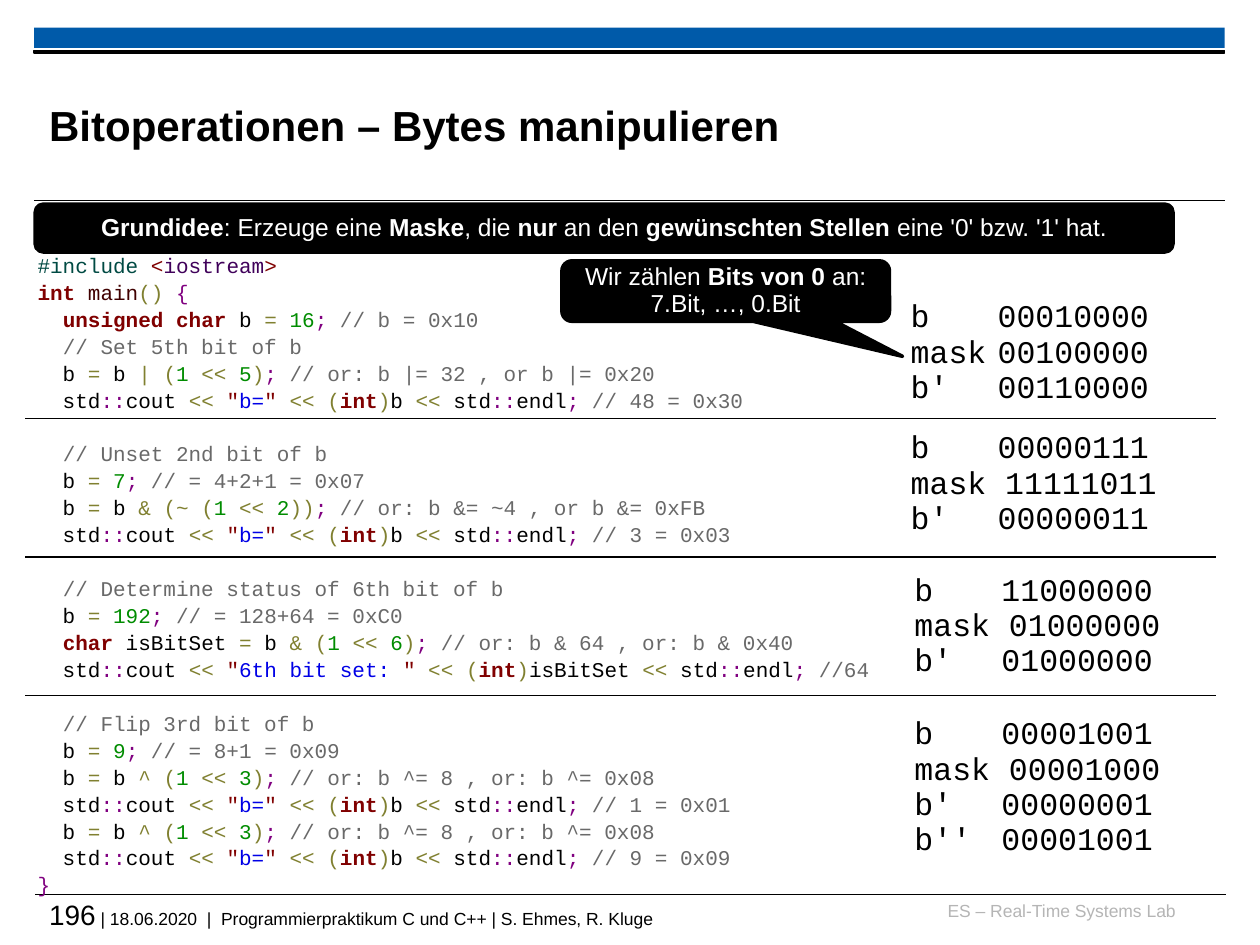
from itertools import groupby

from pptx import Presentation
from pptx.dml.color import RGBColor
from pptx.enum.shapes import MSO_CONNECTOR, MSO_SHAPE
from pptx.enum.text import MSO_ANCHOR, PP_ALIGN
from pptx.oxml.ns import qn
from pptx.util import Inches, Pt
from lxml.etree import SubElement

HUES = {
    "black": "000000", "white": "FFFFFF", "band": "005AA9", "pale": "B5B5B5",
    "teal": "004A43", "red": "800000", "plum": "40015A", "brown": "400000",
    "olive": "808030", "violet": "800080", "green": "008C00",
    "gray": "696969", "blue": "0000E6",
}
WORDS = {"int": "red", "char": "red", "unsigned": "red", "main": "brown"}
HEAD = [("#include ", "teal", False), ("<", "red", False),
        ("iostream", "plum", False), (">", "red", False)]
CODE = [
    """int main() {
  unsigned char b = 16; // b = 0x10
  // Set 5th bit of b
  b = b | (1 << 5); // or: b |= 32 , or b |= 0x20
  std::cout << "b=" << (int)b << std::endl; // 48 = 0x30""",
    """  // Unset 2nd bit of b
  b = 7; // = 4+2+1 = 0x07
  b = b & (~ (1 << 2)); // or: b &= ~4 , or b &= 0xFB
  std::cout << "b=" << (int)b << std::endl; // 3 = 0x03""",
    """  // Determine status of 6th bit of b
  b = 192; // = 128+64 = 0xC0
  char isBitSet = b & (1 << 6); // or: b & 64 , or: b & 0x40
  std::cout << "6th bit set: " << (int)isBitSet << std::endl; //64""",
    """  // Flip 3rd bit of b
  b = 9; // = 8+1 = 0x09
  b = b ^ (1 << 3); // or: b ^= 8 , or: b ^= 0x08
  std::cout << "b=" << (int)b << std::endl; // 1 = 0x01
  b = b ^ (1 << 3); // or: b ^= 8 , or: b ^= 0x08
  std::cout << "b=" << (int)b << std::endl; // 9 = 0x09
}""",
]
BITS = [
    (7.13, 2.33, ["b\t00010000", "mask\t00100000", "b'\t00110000"]),
    (7.13, 3.37, ["b\t00000111", "mask 11111011", "b'\t00000011"]),
    (7.16, 4.5, ["b\t11000000", "mask 01000000", "b'\t01000000"]),
    (7.16, 5.64, ["b\t00001001", "mask 00001000", "b'\t00000001",
                  "b''\t00001001"]),
]
FLUSH = dict.fromkeys(
    ("margin_left", "margin_top", "margin_right", "margin_bottom"), 0)
MID = {"word_wrap": True, "vertical_anchor": MSO_ANCHOR.MIDDLE}


def tint(name):
    """Return the named colour."""
    return RGBColor.from_string(HUES[name])


def style(thing, form):
    """Set each attribute that the format holds."""
    for key, value in form.items():
        setattr(thing, key, value)


def place(box):
    """Turn numbers into inch lengths."""
    return [Inches(n) for n in box]


def sort(char):
    """Name the kind of a code character."""
    if char.isalnum():
        return "word"
    if char == " ":
        return "black"
    return "violet" if char in "{};:" else "olive"


def scan(line):
    """Split a code line into coloured runs."""
    code, mark, note = line.partition("//")
    runs = []
    for i, part in enumerate(code.split('"')):
        if i:
            runs.append(('"', "red", False))
        if i % 2:
            runs.append((part, "blue", False))
            continue
        for kind, group in groupby(part, sort):
            text = "".join(group)
            if kind == "word":
                kind = "green" if text.isdigit() else WORDS.get(text, "black")
            runs.append((text, kind, kind == "red"))
    if mark:
        runs.append((mark + note, "gray", False))
    return runs


def mark(text, hue="black"):
    """Split text at stars, with every second part bold."""
    return [(part, hue, i % 2 == 1)
            for i, part in enumerate(text.split("*")) if part]


def write(frame, lines, size, face="Arial", form=None, tab=None):
    """Write lines of runs into a text frame."""
    for i, line in enumerate(lines):
        para = frame.add_paragraph() if i else frame.paragraphs[0]
        if tab:
            tabs = SubElement(para._p.get_or_add_pPr(), qn("a:tabLst"))
            SubElement(tabs, qn("a:tab"), pos=str(Inches(tab)), algn="l")
        style(para, form or {})
        for text, hue, bold in line:
            run = para.add_run()
            run.text = text
            style(run.font, {"name": face, "size": Pt(size), "bold": bold})
            run.font.color.rgb = tint(hue)


def add_text(slide, box, form):
    """Add a text box and return its frame."""
    frame = slide.shapes.add_textbox(*place(box)).text_frame
    style(frame, {"word_wrap": True, **form})
    return frame


def add_form(slide, kind, box, hue, edge=None):
    """Add a filled preset shape."""
    shape = slide.shapes.add_shape(kind, *place(box))
    shape.shadow.inherit = False
    shape.fill.solid()
    shape.fill.fore_color.rgb = tint(hue)
    if edge:
        shape.line.color.rgb = tint(hue)
        shape.line.width = Pt(edge)
    else:
        shape.line.fill.background()
    return shape


def add_note(slide, kind, box, lines):
    """Add a black box with white centred text."""
    shape = add_form(slide, kind, box, "black", 2)
    style(shape.text_frame, MID)
    write(shape.text_frame, [mark(line, "white") for line in lines], 14,
          form={"alignment": PP_ALIGN.CENTER, "line_spacing": 0.93})
    return shape


def add_rule(slide, left, top, width):
    """Add a thin level line."""
    rule = slide.shapes.add_connector(
        MSO_CONNECTOR.STRAIGHT, *place((left, top, left + 9.45, top)))
    rule.line.color.rgb = tint("black")
    rule.line.width = Pt(width)
    SubElement(rule._element.spPr, qn("a:effectLst"))


def add_frame(slide):
    """Add the bars, rules, footer and title."""
    add_rule(slide, 0.28, 7.1, 0.6)
    add_form(slide, MSO_SHAPE.RECTANGLE, (0.27, 0.22, 9.45, 0.16), "band")
    add_rule(slide, 0.27, 1.59, 0.6)
    add_form(slide, MSO_SHAPE.RECTANGLE, (0.27, 0.4, 9.45, 0.02), "black", 0.75)
    lab = add_text(slide, (7.36, 7.14, 1.97, 0.25), FLUSH)
    write(lab, [mark("ES – Real-Time Systems Lab", "pale")], 10,
          form={"alignment": PP_ALIGN.RIGHT})
    foot = add_text(slide, (0.39, 7.12, 9.33, 0.33), FLUSH)
    write(foot, [mark("196 | 18.06.2020  |  Programmierpraktikum "
                      "C und C++ | S. Ehmes, R. Kluge")], 10)
    split = foot.paragraphs[0].runs[0]
    page, rest = split.text[:3], split.text[3:]
    split.text, split.font.size = page, Pt(16)
    tail = foot.paragraphs[0].add_run()
    tail.text = rest
    style(tail.font, {"name": "Arial", "size": Pt(10)})
    tail.font.color.rgb = tint("black")
    title = slide.shapes.title
    style(title, dict(zip(("left", "top", "width", "height"),
                          place((0.39, 0.53, 7.52, 0.92)))))
    style(title.text_frame, {**MID, **FLUSH})
    write(title.text_frame, [mark("*Bitoperationen – Bytes manipulieren*")],
          24, form={"alignment": PP_ALIGN.LEFT})


def add_code(slide):
    """Add the code with a gap between its blocks."""
    frame = add_text(slide, (0.2, 1.94, 6.93, 5.72), {})
    blocks = [[scan(line) for line in block.split("\n")] for block in CODE]
    blocks[0].insert(0, HEAD)
    write(frame, sum(blocks, []), 12, "Courier New",
          {"alignment": PP_ALIGN.JUSTIFY, "line_spacing": 1.07})
    row = 0
    for block in blocks[:-1]:
        row += len(block)
        frame.paragraphs[row].space_before = Pt(15.4)


def main():
    """Build and save the slide."""
    deck = Presentation()
    style(deck, {"slide_width": Inches(10), "slide_height": Inches(7.5)})
    slide = deck.slides.add_slide(deck.slide_layouts[5])
    add_frame(slide)
    add_code(slide)
    for left, top, lines in BITS:
        frame = add_text(slide, (left, top, 2.66, 0.11 + 0.28 * len(lines)), {})
        write(frame, [mark(line) for line in lines], 18, "Courier New",
              {"line_spacing": 0.93}, 0.69)
    for i in range(3):
        add_rule(slide, 0.2, 3.32 + 1.1 * i, 0.75)
    hint = add_note(slide, MSO_SHAPE.ROUNDED_RECTANGULAR_CALLOUT,
                    (4.46, 2.07, 2.6, 0.48),
                    ["Wir zählen *Bits von 0 *an:", "7.Bit, …, 0.Bit"])
    hint.adjustments[0], hint.adjustments[1] = 0.54, 1.08
    add_note(slide, MSO_SHAPE.ROUNDED_RECTANGLE, (0.28, 1.62, 9.03, 0.38),
             ["*Grundidee*: Erzeuge eine *Maske*, die *nur* an den "
              "*gewünschten Stellen *eine '0' bzw. '1' hat."])
    deck.save("out.pptx")


if __name__ == "__main__":
    main()
